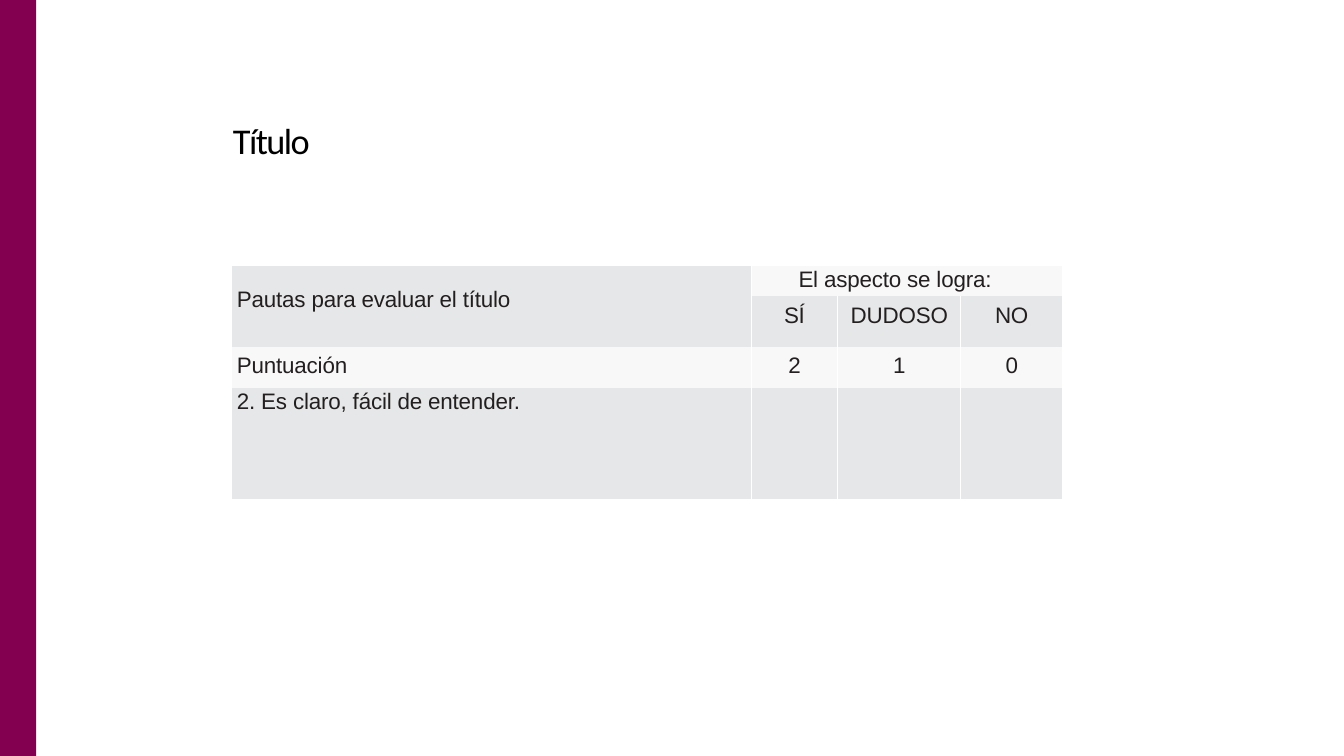
from dataclasses import dataclass

from lxml import etree
from pptx import Presentation, util as u
from pptx.dml.color import RGBColor
from pptx.enum import shapes, text
from pptx.oxml import ns


@dataclass(frozen=True)
class Theme:
    accent: str = "830051"
    title: str = "000000"
    body: str = "231F20"
    dark_fill: str = "E6E7E8"
    light_fill: str = "F8F8F8"
    border: str = "FFFFFF"
    title_font: str = "Calibri"
    body_font: str = "Arial"
    title_size: float = 25.9
    body_size: float = 16


THEME = Theme()
NO_TABLE_STYLE = "{2D5ABB26-0587-4C30-8999-92F81FD0307C}"
COLUMN_WIDTHS = (5.15, 0.86, 1.22, 1.01)
ROW_HEIGHTS = (0.3, 0.5, 0.41, 1.1)
ROWS = (
    ("Pautas para evaluar el título", "El aspecto se logra:", "", ""),
    ("", "SÍ", "DUDOSO", "NO"),
    ("Puntuación", "2", "1", "0"),
    ("2. Es claro, fácil de entender.", "", "", ""),
)
ROW_FILLS = (THEME.light_fill, THEME.dark_fill, THEME.light_fill, THEME.dark_fill)
TOP_MARGINS = (0.01, 0.07, 0.07, 0.01)


def apply_format(target, values):
    for name, value in values.items():
        setattr(target, name, value)


def style_font(font, name, size, color):
    apply_format(font, {"name": name, "size": u.Pt(size)})
    font.color.rgb = RGBColor.from_string(color)


def set_spacing(run, hundredths):
    run.font._element.set("spc", str(hundredths))


def paint(target, color):
    target.fill.solid()
    target.fill.fore_color.rgb = RGBColor.from_string(color)


def add_side_bar(slide):
    bar = slide.shapes.add_shape(
        shapes.MSO_SHAPE.RECTANGLE, 0, 0, u.Inches(0.36), u.Inches(7.5))
    bar.shadow.inherit = False
    paint(bar, THEME.accent)
    bar.line.fill.background()


def add_title(slide, words):
    box = slide.shapes.add_textbox(
        u.Inches(2.29), u.Inches(1.15), u.Inches(0.9), u.Inches(0.45))
    frame = box.text_frame
    apply_format(frame, {
        "margin_left": u.Inches(0.02), "margin_right": 0,
        "margin_top": u.Inches(0.02), "margin_bottom": 0,
        "word_wrap": False, "vertical_anchor": text.MSO_ANCHOR.MIDDLE,
    })
    run = frame.paragraphs[0].add_run()
    run.text = words
    style_font(run.font, THEME.title_font, THEME.title_size, THEME.title)
    set_spacing(run, -110)


def add_side_borders(cell):
    properties = cell._tc.get_or_add_tcPr()
    for position, tag in enumerate(("a:lnL", "a:lnR")):
        line = etree.Element(ns.qn(tag), w=str(u.Pt(0.75)))
        fill = etree.SubElement(line, ns.qn("a:solidFill"))
        etree.SubElement(fill, ns.qn("a:srgbClr"), val=THEME.border)
        properties.insert(position, line)


def fill_cell(cell, words, color, left, top, alignment):
    apply_format(cell, {
        "margin_left": u.Inches(left), "margin_right": 0,
        "margin_top": u.Inches(top), "margin_bottom": 0,
        "vertical_anchor": text.MSO_ANCHOR.TOP,
    })
    paint(cell, color)
    add_side_borders(cell)
    paragraph = cell.text_frame.paragraphs[0]
    paragraph.alignment = alignment
    if words:
        run = paragraph.add_run()
        run.text = words
        style_font(run.font, THEME.body_font, THEME.body_size, THEME.body)
        set_spacing(run, -10)


def add_rubric(slide):
    frame = slide.shapes.add_table(
        len(ROWS), len(COLUMN_WIDTHS), u.Inches(2.3), u.Inches(2.64),
        u.Inches(sum(COLUMN_WIDTHS)), u.Inches(sum(ROW_HEIGHTS)))
    table = frame.table
    apply_format(table, {"first_row": False, "horz_banding": False})
    table._tbl.tblPr.find(ns.qn("a:tableStyleId")).text = NO_TABLE_STYLE
    for column, width in zip(table.columns, COLUMN_WIDTHS):
        column.width = u.Inches(width)
    for row, height in zip(table.rows, ROW_HEIGHTS):
        row.height = u.Inches(height)

    # Header cells: the guideline spans two rows, the scale three columns
    table.cell(0, 0).merge(table.cell(1, 0))
    table.cell(0, 1).merge(table.cell(0, 3))

    for i, words_in_row in enumerate(ROWS):
        for j, words in enumerate(words_in_row):
            color, top = ROW_FILLS[i], TOP_MARGINS[i]
            left, alignment = 0, text.PP_ALIGN.CENTER
            if j == 0:
                left, alignment = 0.05, text.PP_ALIGN.LEFT
            if (i, j) == (0, 0):
                color, top = THEME.dark_fill, 0.21
            elif (i, j) == (0, 1):
                left, alignment = 0.47, text.PP_ALIGN.LEFT
            fill_cell(table.cell(i, j), words, color, left, top, alignment)


def main():
    presentation = Presentation()
    apply_format(presentation, {
        "slide_width": u.Inches(13.33), "slide_height": u.Inches(7.5)})
    slide = presentation.slides.add_slide(presentation.slide_layouts[6])

    # Side bar and heading
    add_side_bar(slide)
    add_title(slide, "Título")

    # Scoring table
    add_rubric(slide)
    presentation.save("out.pptx")


if __name__ == "__main__":
    main()
